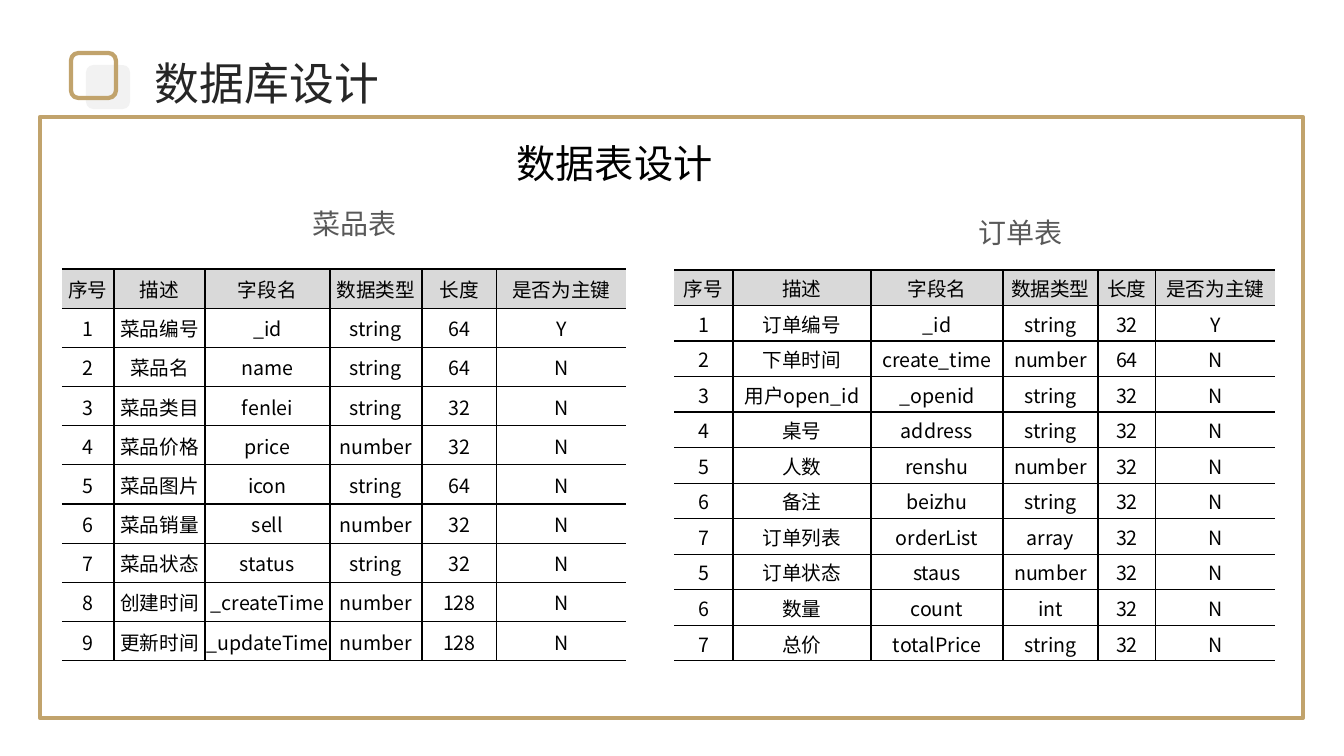
from lxml.etree import SubElement
from pptx import Presentation
from pptx.dml.color import RGBColor
from pptx.enum.shapes import MSO_SHAPE as Shape
from pptx.enum.text import MSO_ANCHOR as Anchor, MSO_AUTO_SIZE as AutoSize, PP_ALIGN as Align
from pptx.oxml.ns import qn
from pptx.util import Emu, Pt

PX = 12192000 / 1344
FONT, LATIN_FONT = "Noto Sans CJK SC", "Arial"
GOLD, PALE, HEADER_GREY, BLACK = "C1A36C", "F2F2F2", "D9D9D9", "000000"

# text, box (left, top, width, height), size, latin font, colour, alignment, wrap
HEADINGS = [
    ("数据表设计", (57, 134, 1115, 57), 28, FONT, BLACK, Align.CENTER, True),
    ("数据库设计", (145, 51, 247, 64), 32, FONT, "262626", Align.LEFT, False),
    ("菜品表", (49, 202, 612, 44), 20, LATIN_FONT, "595959", Align.CENTER, True),
    ("订单表", (715, 211, 612, 44), 20, LATIN_FONT, "595959", Align.CENTER, True),
]
HEADER = ("序号", "描述", "字段名", "数据类型", "长度", "是否为主键")
DISH_ROWS = [
    ("1", "菜品编号", "_id", "string", "64", "Y"),
    ("2", "菜品名", "name", "string", "64", "N"),
    ("3", "菜品类目", "fenlei", "string", "32", "N"),
    ("4", "菜品价格", "price", "number", "32", "N"),
    ("5", "菜品图片", "icon", "string", "64", "N"),
    ("6", "菜品销量", "sell", "number", "32", "N"),
    ("7", "菜品状态", "status", "string", "32", "N"),
    ("8", "创建时间", "_createTime", "number", "128", "N"),
    ("9", "更新时间", "_updateTime", "number", "128", "N"),
]
ORDER_ROWS = [
    ("1", "订单编号", "_id", "string", "32", "Y"),
    ("2", "下单时间", "create_time", "number", "64", "N"),
    ("3", "用户open_id", "_openid", "string", "32", "N"),
    ("4", "桌号", "address", "string", "32", "N"),
    ("5", "人数", "renshu", "number", "32", "N"),
    ("6", "备注", "beizhu", "string", "32", "N"),
    ("7", "订单列表", "orderList", "array", "32", "N"),
    ("5", "订单状态", "staus", "number", "32", "N"),
    ("6", "数量", "count", "int", "32", "N"),
    ("7", "总价", "totalPrice", "string", "32", "N"),
]
# left, top, height, column widths, rows
TABLES = [
    (62, 269, 392, (52, 91, 125, 92, 75, 129), DISH_ROWS),
    (674, 270, 391, (59, 138, 132, 95, 58, 119), ORDER_ROWS),
]


def px(length):
    return Emu(round(length * PX))


def color(value):
    return RGBColor.from_string(value)


def add_box(shapes, kind, box, fill=None, line=None):
    shape = shapes.add_shape(kind, *map(px, box))
    shape.shadow.inherit = False
    if fill:
        shape.fill.solid()
        shape.fill.fore_color.rgb = color(fill)
    else:
        shape.fill.background()
    if line:
        shape.line.color.rgb = color(line)
        shape.line.width = Pt(3)
    else:
        shape.line.fill.background()


def write(paragraph, text, size, latin, ink, align):
    paragraph.alignment = align
    run = paragraph.add_run()
    run.text = text
    run.font.size = Pt(size)
    run.font.name = latin
    run.font.color.rgb = color(ink)
    SubElement(run.font._element, qn("a:ea"), typeface=FONT)


def add_heading(slide, text, box, size, latin, ink, align, wrap):
    frame = slide.shapes.add_textbox(*map(px, box)).text_frame
    frame.word_wrap = wrap
    frame.auto_size = AutoSize.SHAPE_TO_FIT_TEXT
    write(frame.paragraphs[0], text, size, latin, ink, align)


def set_borders(cell, is_first, is_last):
    """Rule every side except the table's open left and right edges."""
    properties = cell._tc.get_or_add_tcPr()
    sides = {"L": not is_first, "R": not is_last, "T": True, "B": True}
    for side, ruled in sides.items():
        line = SubElement(properties, qn(f"a:ln{side}"), w=str(Pt(1)))
        if ruled:
            fill = SubElement(line, qn("a:solidFill"))
            SubElement(fill, qn("a:srgbClr"), val=BLACK)
        else:
            SubElement(line, qn("a:noFill"))


def fill_cell(cell, text, is_header):
    cell.vertical_anchor = Anchor.MIDDLE
    cell.margin_left = cell.margin_right = cell.margin_top = px(1)
    cell.margin_bottom = 0
    if is_header:
        cell.fill.solid()
        cell.fill.fore_color.rgb = color(HEADER_GREY)
    else:
        cell.fill.background()
    write(cell.text_frame.paragraphs[0], text, 14, FONT, BLACK, Align.CENTER)


def add_field_table(slide, left, top, height, widths, rows):
    rows = [HEADER, *rows]
    box = map(px, (left, top, sum(widths), height))
    table = slide.shapes.add_table(len(rows), len(widths), *box).table
    table.first_row = table.horz_banding = False
    for column, width in zip(table.columns, widths):
        column.width = px(width)
    for r, values in enumerate(rows):
        table.rows[r].height = px(height / len(rows))
        for c, text in enumerate(values):
            cell = table.cell(r, c)
            set_borders(cell, c == 0, c == len(widths) - 1)
            fill_cell(cell, text, r == 0)


def main():
    presentation = Presentation()
    presentation.slide_width, presentation.slide_height = px(1344), px(756)
    slide = presentation.slides.add_slide(presentation.slide_layouts[6])
    icon = slide.shapes.add_group_shape()
    add_box(icon.shapes, Shape.ROUNDED_RECTANGLE, (86, 65, 44, 44), fill=PALE)
    add_box(icon.shapes, Shape.ROUNDED_RECTANGLE, (71, 53, 45, 45), line=GOLD)
    add_box(slide.shapes, Shape.RECTANGLE, (40, 117, 1263, 601), line=GOLD)
    for heading in HEADINGS:
        add_heading(slide, *heading)
    for table in TABLES:
        add_field_table(slide, *table)
    presentation.save("out.pptx")


if __name__ == "__main__":
    main()
